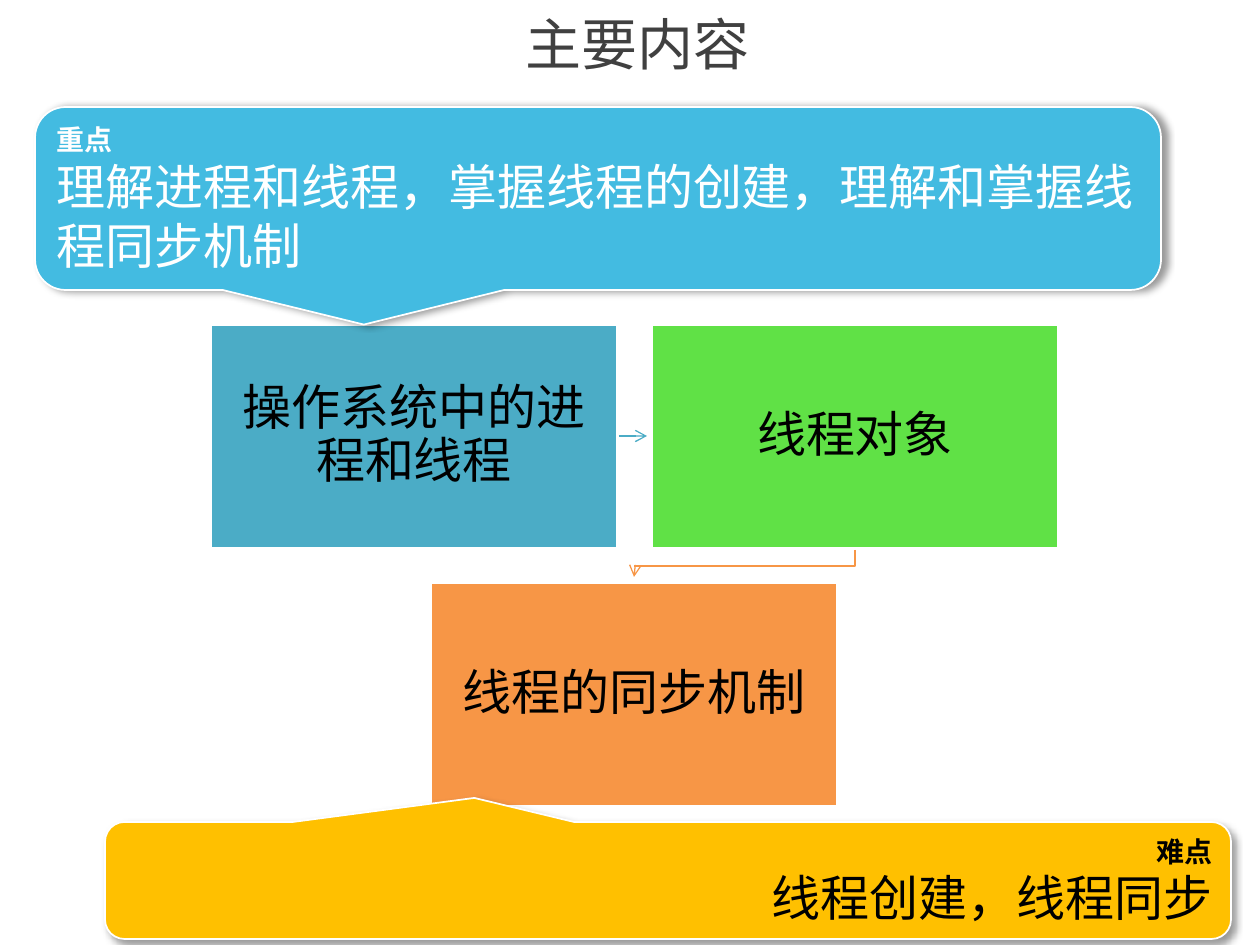
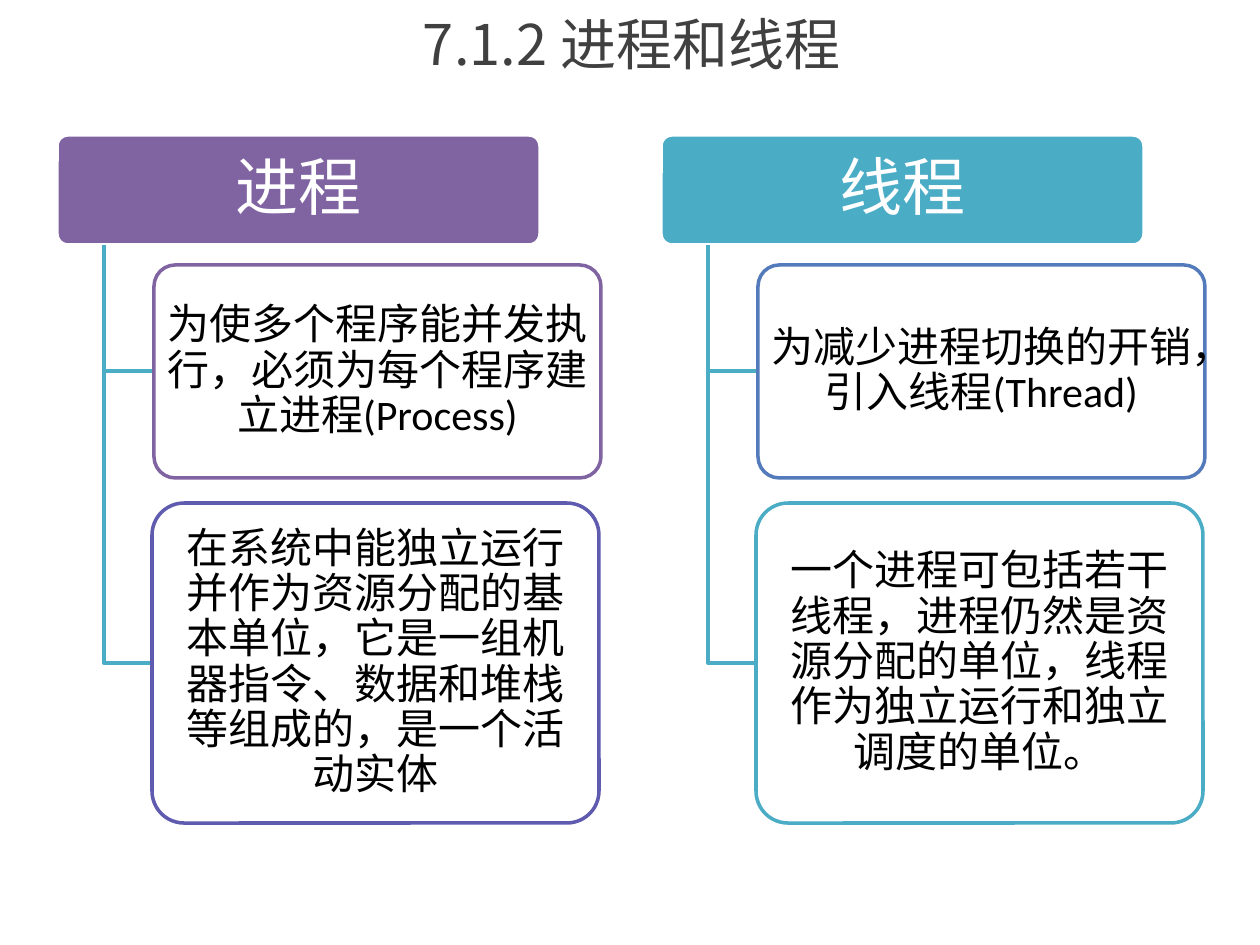
from dataclasses import dataclass
from typing import Any, Optional

from lxml import etree
from pptx import Presentation
from pptx.dml.color import RGBColor
from pptx.enum.lang import MSO_LANGUAGE_ID as LANGUAGE
from pptx.enum.shapes import MSO_CONNECTOR as CONNECTOR, MSO_SHAPE as SHAPE
from pptx.enum.text import MSO_ANCHOR as ANCHOR, MSO_AUTO_SIZE as AUTO_SIZE, PP_ALIGN as ALIGN
from pptx.oxml.ns import qn
from pptx.util import Emu, Pt

# Lengths are px, 126 to the inch
PX = 914400 / 126
SLIDE_WIDTH, SLIDE_HEIGHT = 1260, 945
TITLE_BOX = (91, 0, 1094, 86)

CJK_FONT = "Noto Sans CJK SC"
LATIN_FONT = "Calibri"

WHITE = RGBColor(0xFF, 0xFF, 0xFF)
BLACK = RGBColor(0x00, 0x00, 0x00)
TITLE_GRAY = RGBColor(0x40, 0x40, 0x40)
TEAL = RGBColor(0x4B, 0xAC, 0xC6)
GREEN = RGBColor(0x60, 0xE1, 0x46)
ORANGE = RGBColor(0xF7, 0x96, 0x46)
SKY = RGBColor(0x43, 0xBB, 0xE1)
AMBER = RGBColor(0xFF, 0xC0, 0x00)
PURPLE = RGBColor(0x80, 0x64, 0xA2)
INDIGO = RGBColor(0x5F, 0x5B, 0xAE)
BLUE = RGBColor(0x53, 0x7A, 0xBA)


@dataclass(frozen=True)
class Line:
    text: str
    size: int
    color: RGBColor
    font: str = CJK_FONT
    bold: bool = False
    align: Any = ALIGN.CENTER
    spacing: float = 0.9


@dataclass(frozen=True)
class Box:
    kind: Any
    left: int
    top: int
    width: int
    height: int
    fill: RGBColor
    lines: tuple[Line, ...]
    outline: RGBColor = WHITE
    outline_width: float = 2
    adjustments: tuple[float, ...] = ()
    inset: tuple[int, int] = (13, 6)
    shadow_angle: Optional[int] = None
    auto_size: Any = AUTO_SIZE.NONE


@dataclass(frozen=True)
class Card:
    text: str
    outline: RGBColor


@dataclass(frozen=True)
class Branch:
    heading: str
    color: RGBColor
    cards: tuple[Card, ...]


def px(length: float) -> Emu:
    return Emu(round(length * PX))


def add_shadow(effects: Any, angle: int) -> None:
    """Put a soft black outer shadow into an effect list."""
    shadow = etree.SubElement(effects, qn("a:outerShdw"), blurRad=str(Pt(4)),
                              dist=str(Pt(3)), dir=str(angle * 60000),
                              algn="tl", rotWithShape="0")
    color = etree.SubElement(shadow, qn("a:srgbClr"), val="000000")
    etree.SubElement(color, qn("a:alpha"), val="40000")


def write_line(paragraph: Any, line: Line) -> Any:
    """Write one formatted paragraph and return its run."""
    run = paragraph.add_run()
    run.text = line.text
    for name, value in {"alignment": line.align, "line_spacing": line.spacing,
                        "space_before": Pt(0)}.items():
        setattr(paragraph, name, value)
    for name, value in {"size": Pt(line.size), "bold": line.bold, "name": line.font,
                        "language_id": LANGUAGE.SIMPLIFIED_CHINESE}.items():
        setattr(run.font, name, value)
    run.font.color.rgb = line.color
    latin = run._r.get_or_add_rPr().find(qn("a:latin"))
    latin.addnext(latin.makeelement(qn("a:ea"), {"typeface": CJK_FONT}))
    return run


def add_box(slide: Any, box: Box) -> None:
    shape = slide.shapes.add_shape(box.kind, px(box.left), px(box.top),
                                   px(box.width), px(box.height))
    for index, value in enumerate(box.adjustments):
        shape.adjustments[index] = value
    shape.fill.solid()
    shape.fill.fore_color.rgb = box.fill
    shape.line.color.rgb = box.outline
    shape.line.width = Pt(box.outline_width)
    shape.shadow.inherit = False
    if box.shadow_angle is not None:
        add_shadow(shape.element.spPr.find(qn("a:effectLst")), box.shadow_angle)
    frame = shape.text_frame
    side, end = map(px, box.inset)
    for name, value in {"word_wrap": True, "auto_size": box.auto_size,
                        "vertical_anchor": ANCHOR.MIDDLE,
                        "margin_left": side, "margin_right": side,
                        "margin_top": end, "margin_bottom": end}.items():
        setattr(frame, name, value)
    for index, line in enumerate(box.lines):
        write_line(frame.add_paragraph() if index else frame.paragraphs[0], line)


def add_route(slide: Any, points: list[tuple[float, float]], color: RGBColor,
              width: float, arrow: bool = False) -> None:
    """Draw a straight connector, or an open outline when the route bends."""
    if len(points) == 2:
        ends = [px(value) for point in points for value in point]
        route = slide.shapes.add_connector(CONNECTOR.STRAIGHT, *ends)
        etree.SubElement(route.element.spPr, qn("a:effectLst"))
    else:
        builder = slide.shapes.build_freeform(*points[0], scale=PX)
        builder.add_line_segments(points[1:], close=False)
        route = builder.convert_to_shape()
        route.fill.background()
        route.shadow.inherit = False
    route.line.color.rgb = color
    route.line.width = Pt(width)
    if arrow:
        etree.SubElement(route.element.spPr.find(qn("a:ln")), qn("a:tailEnd"), type="arrow")


def add_titled_slide(presentation: Any, text: str) -> Any:
    slide = presentation.slides.add_slide(presentation.slide_layouts[5])
    title = slide.shapes.title
    title.left, title.top, title.width, title.height = map(px, TITLE_BOX)
    title.text_frame.vertical_anchor = ANCHOR.MIDDLE
    run = write_line(title.text_frame.paragraphs[0],
                     Line(text, 32, TITLE_GRAY, spacing=1.0))
    latin = run._r.get_or_add_rPr().find(qn("a:latin"))
    effects = latin.makeelement(qn("a:effectLst"), {})
    latin.addprevious(effects)
    add_shadow(effects, 45)
    return slide


def callout(left: int, top: int, height: int, fill: RGBColor, color: RGBColor,
            label: str, text: str, align: Any, pointer: tuple[float, float],
            angle: int) -> Box:
    lines = (Line(label, 16, color, bold=True, align=align, spacing=1.0),
             Line(text, 28, color, align=align, spacing=1.0))
    return Box(SHAPE.ROUNDED_RECTANGULAR_CALLOUT, left, top, 1126, height, fill, lines,
               outline_width=1, adjustments=(*pointer, 0.167), shadow_angle=angle,
               auto_size=AUTO_SIZE.SHAPE_TO_FIT_TEXT)


def build_contents(presentation: Any) -> None:
    slide = add_titled_slide(presentation, "主要内容")

    # Three topics with equal gaps, the last one centred below
    left, top, width, height, gap = 210, 324, 408, 225, 33
    right, below = left + width + gap, top + height + gap
    middle = (left + right) // 2
    for x, y, fill, text in ((left, top, TEAL, "操作系统中的进程和线程"),
                             (right, top, GREEN, "线程对象"),
                             (middle, below, ORANGE, "线程的同步机制")):
        add_box(slide, Box(SHAPE.RECTANGLE, x, y, width, height, fill,
                           (Line(text, 28, BLACK),), inset=(28, 28)))

    # Arrows from topic to topic
    arrow_y, turn_y = top + height // 2, below - gap // 2
    add_route(slide, [(left + width + 1, arrow_y), (right - 4, arrow_y)], TEAL, 0.75, True)
    start_x, end_x = right + width // 2, middle + width // 2
    add_route(slide, [(start_x, top + height + 1), (start_x, turn_y),
                      (end_x, turn_y), (end_x, below - 5)], ORANGE, 0.75, True)

    # Callouts for the key and the difficult points
    add_box(slide, callout(35, 107, 183, SKY, WHITE, "重点",
                           "理解进程和线程，掌握线程的创建，理解和掌握线程同步机制",
                           ALIGN.LEFT, (-0.208, 0.689), 0))
    add_box(slide, callout(105, 822, 117, AMBER, BLACK, "难点", "线程创建，线程同步",
                           ALIGN.RIGHT, (-0.172, -0.706), 45))


def add_branch(slide: Any, left: int, branch: Branch) -> None:
    """Draw a heading with its cards hanging from a trunk line."""
    add_box(slide, Box(SHAPE.ROUNDED_RECTANGLE, left, 135, 483, 110, branch.color,
                       (Line(branch.heading, 36, WHITE, LATIN_FONT),),
                       adjustments=(0.1,), inset=(9, 6)))
    trunk = left + 47
    card_places = ((97, 265, 213), (95, 503, 320))
    for card, (indent, top, height) in zip(branch.cards, card_places):
        card_left, center = left + indent, top + height // 2
        add_route(slide, [(trunk, 245), (trunk, center), (card_left, center)], TEAL, 2)
        add_box(slide, Box(SHAPE.ROUNDED_RECTANGLE, card_left, top, 447, height, WHITE,
                           (Line(card.text, 24, BLACK, LATIN_FONT),),
                           outline=card.outline, adjustments=(0.1,), inset=(6, 4)))


def build_comparison(presentation: Any) -> None:
    slide = add_titled_slide(presentation, "7.1.2 进程和线程 ")
    branches = (
        Branch("进程", PURPLE, (
            Card("为使多个程序能并发执行，必须为每个程序建立进程(Process)", PURPLE),
            Card("在系统中能独立运行并作为资源分配的基本单位，它是一组机器指令、"
                 "数据和堆栈等组成的，是一个活动实体", INDIGO))),
        Branch("线程", TEAL, (
            Card("为减少进程切换的开销，引入线程(Thread)", BLUE),
            Card("一个进程可包括若干线程，进程仍然是资源分配的单位，"
                 "线程作为独立运行和独立调度的单位。", TEAL))),
    )
    for column, branch in enumerate(branches):
        add_branch(slide, 57 + 604 * column, branch)


def main() -> None:
    presentation = Presentation()
    presentation.slide_width = px(SLIDE_WIDTH)
    presentation.slide_height = px(SLIDE_HEIGHT)
    build_contents(presentation)
    build_comparison(presentation)
    presentation.save("out.pptx")


if __name__ == "__main__":
    main()
